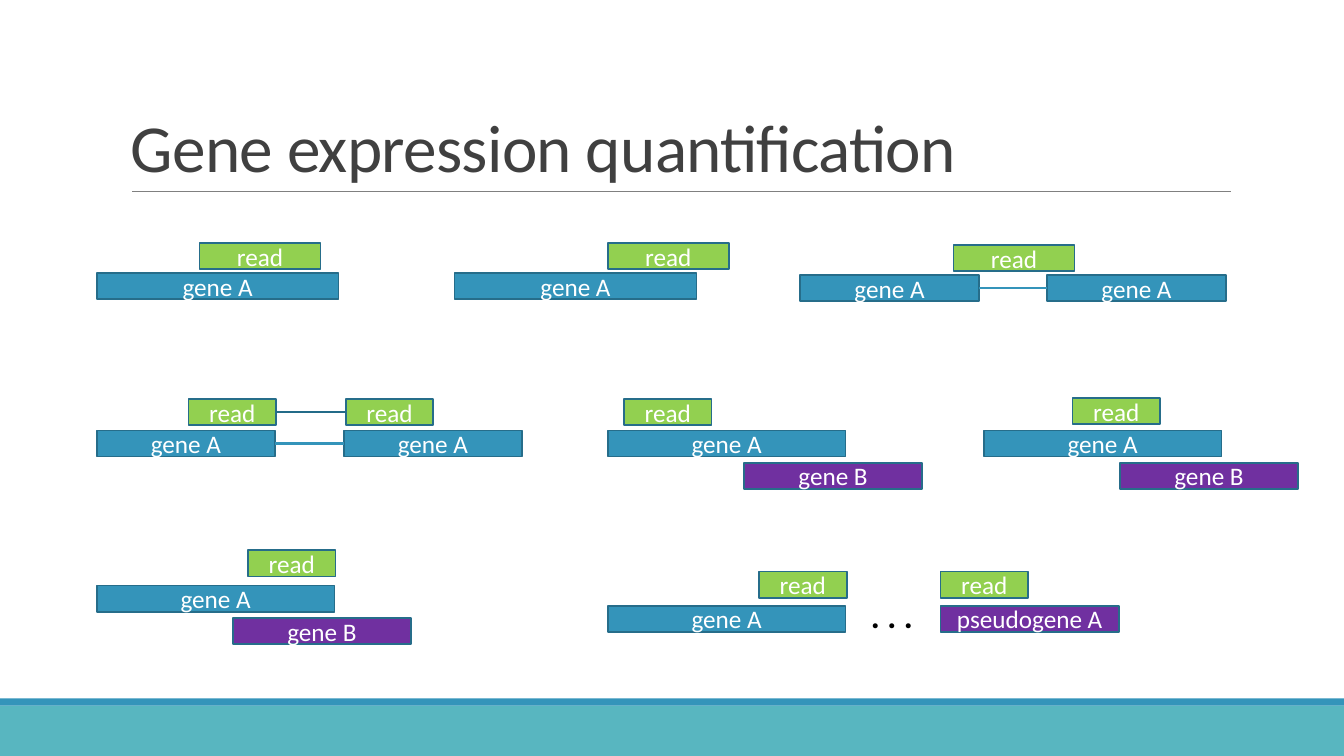
from pptx import Presentation
from pptx.dml.color import RGBColor
from pptx.enum.shapes import MSO_CONNECTOR, MSO_SHAPE
from pptx.enum.text import MSO_ANCHOR, PP_ALIGN
from pptx.oxml.ns import qn
from pptx.util import Inches, Pt
from lxml import etree

RECT = MSO_SHAPE.RECTANGLE
STRAIGHT = MSO_CONNECTOR.STRAIGHT
LEFT, CENTER = PP_ALIGN.LEFT, PP_ALIGN.CENTER
TOP, MIDDLE, BOTTOM = MSO_ANCHOR.TOP, MSO_ANCHOR.MIDDLE, MSO_ANCHOR.BOTTOM

COLS, ROWS = 133.33, 75
CELL = Inches(0.1)
BOX_ROWS = 2.6
LEFT_SIDE, RIGHT_SIDE = 1, 3

BLUE, GREEN, PURPLE, TEAL = "3494BA", "92D050", "7030A0", "58B6C0"
OUTLINE, READ_LINK, RULE = "266D8A", "236B88", "808080"
FILLS = {"read": GREEN, "gene A": BLUE, "gene B": PURPLE, "pseudogene A": PURPLE}

LONG_GENE, GENE, EXON = 24, 23.6, 17.7
LONG_READ, READ = 12, 8.7

# Each panel: boxes as (text, column, row, columns wide), links as (from, to, colour).
PANELS = [
    ([("gene A", 9.6, 27.1, LONG_GENE), ("read", 19.8, 24.1, LONG_READ)], []),
    ([("gene A", 45.1, 27.1, LONG_GENE), ("read", 60.3, 24.1, LONG_READ)], []),
    ([("gene A", 79.4, 27.3, EXON), ("read", 94.6, 24.3, LONG_READ),
      ("gene A", 103.9, 27.3, EXON)], [(0, 2, BLUE)]),
    ([("gene A", 9.6, 42.7, EXON), ("read", 18.7, 39.6, READ),
      ("gene A", 34.1, 42.7, EXON), ("read", 34.3, 39.6, READ)],
     [(0, 2, BLUE), (1, 3, READ_LINK)]),
    ([("gene A", 60.3, 42.7, GENE), ("read", 61.9, 39.6, READ),
      ("gene B", 73.8, 45.9, EXON)], []),
    ([("gene A", 97.6, 42.7, GENE), ("read", 106.4, 39.5, READ),
      ("gene B", 111.1, 45.9, EXON)], []),
    ([("gene A", 9.6, 58.1, GENE), ("read", 24.6, 54.6, READ),
      ("gene B", 23.1, 61.3, EXON)], []),
    ([("gene A", 60.3, 60.1, GENE), ("read", 75.3, 56.7, READ),
      ("pseudogene A", 93.3, 60.1, EXON), ("read", 93.3, 56.7, READ)], []),
]


def rgb(value):
    """Turn a hex string into a colour."""
    return RGBColor.from_string(value)


def grid(*cells):
    """Turn counts of columns and rows into lengths."""
    return [round(n * CELL) for n in cells]


def write(sp, text, size=18, color="FFFFFF", bold=False, align=CENTER,
          anchor=MIDDLE, leading=None, spacing=None):
    """Put one formatted paragraph into a shape."""
    tf = sp.text_frame
    tf.word_wrap = True
    tf.vertical_anchor = anchor
    p = tf.paragraphs[0]
    p.alignment = align
    p.line_spacing = leading
    r = p.add_run()
    r.text = text
    r.font.name = "Calibri"
    r.font.size = Pt(size)
    r.font.bold = bold
    r.font.color.rgb = rgb(color)
    if spacing is not None:
        r._r.get_or_add_rPr().set("spc", str(spacing))


def add_rect(shapes, col, row, width, height, fill, line=None):
    """Add a filled rectangle, outlined if a line colour is given."""
    sp = shapes.add_shape(RECT, *grid(col, row, width, height))
    sp.shadow.inherit = False
    sp.fill.solid()
    sp.fill.fore_color.rgb = rgb(fill)
    if line:
        sp.line.color.rgb = rgb(line)
        sp.line.width = Pt(1.25)
    else:
        sp.line.fill.background()
    return sp


def add_line(shapes, ends, color, width):
    """Add a straight line without a shadow."""
    cxn = shapes.add_connector(STRAIGHT, *grid(*ends))
    cxn.line.color.rgb = rgb(color)
    cxn.line.width = Pt(width)
    etree.SubElement(cxn._element.spPr, qn("a:effectLst"))
    return cxn


def add_label(shapes, box, text, **style):
    """Add a text box."""
    write(shapes.add_textbox(*grid(*box)), text, **style)


def add_panel(slide, boxes, links):
    """Add one group of aligned reads and genes, and return its shapes."""
    shapes = slide.shapes.add_group_shape().shapes
    drawn = []
    for text, col, row, width in boxes:
        sp = add_rect(shapes, col, row, width, BOX_ROWS, FILLS[text], OUTLINE)
        write(sp, text)
        drawn.append(sp)
    for start, end, color in links:
        cxn = add_line(shapes, (0, 0, 1, 1), color, 1.5)
        cxn.begin_connect(drawn[start], RIGHT_SIDE)
        cxn.end_connect(drawn[end], LEFT_SIDE)
    return shapes


def main():
    """Build the slide and save it."""
    prs = Presentation()
    prs.slide_width, prs.slide_height = grid(COLS, ROWS)
    slide = prs.slides.add_slide(prs.slide_layouts[6])
    add_rect(slide.shapes, 0, 70, COLS, 5, TEAL)
    add_rect(slide.shapes, 0, 69.3, COLS, 0.7, BLUE)
    add_line(slide.shapes, (13.1, 19, 122.1, 19), RULE, 0.5)
    add_label(slide.shapes, (12, 3.1, 110, 15.9), "Gene expression quantification",
              size=48, color="404040", align=LEFT, anchor=BOTTOM,
              leading=0.85, spacing=-50)
    for boxes, links in PANELS:
        shapes = add_panel(slide, boxes, links)
    add_label(shapes, (85.4, 58.5, 7.9, 5), ". . .", size=24, color="000000",
              bold=True, align=LEFT, anchor=TOP)
    prs.save("out.pptx")


if __name__ == "__main__":
    main()
